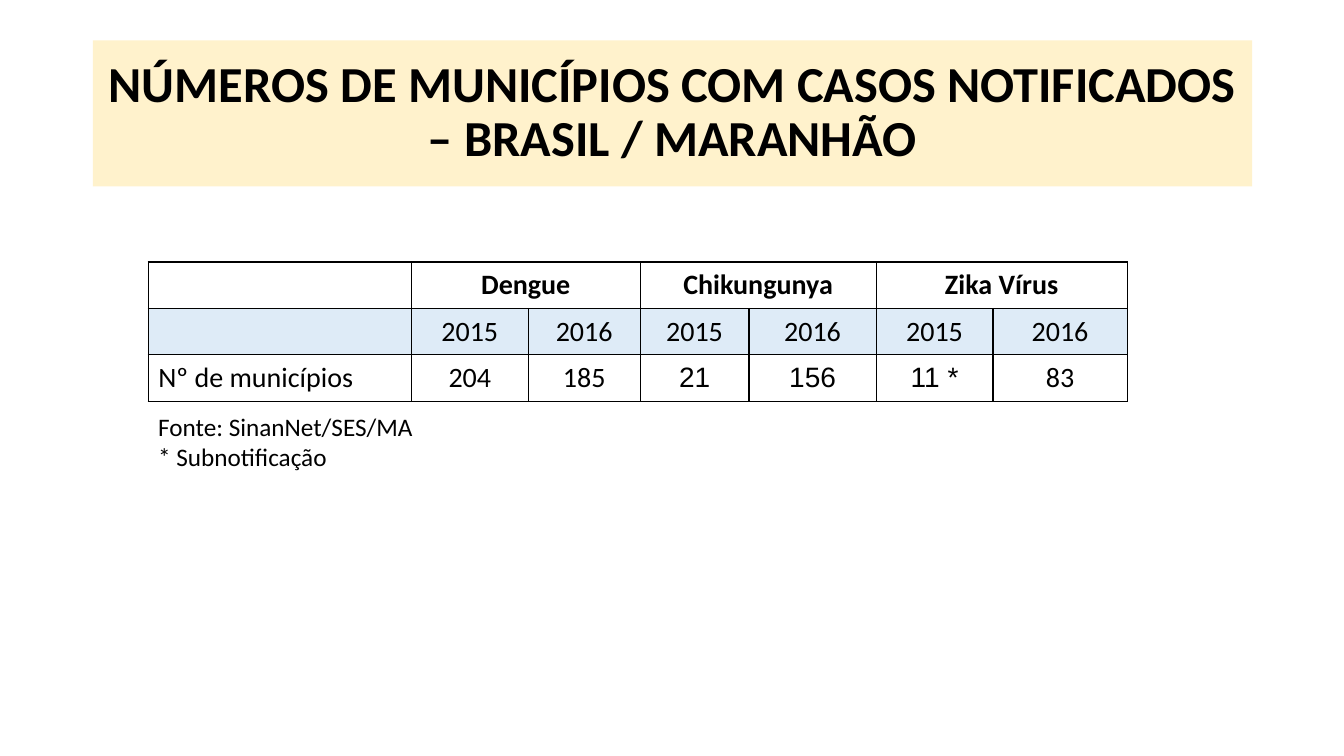
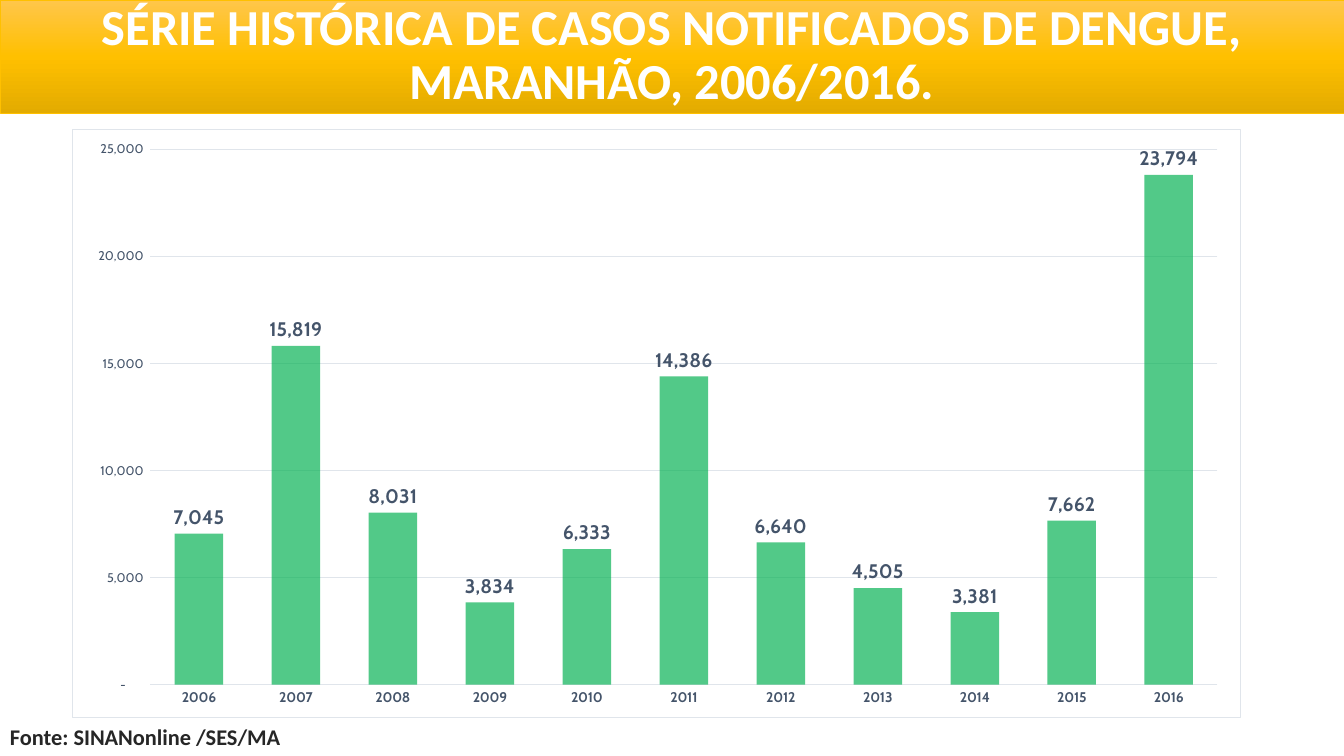
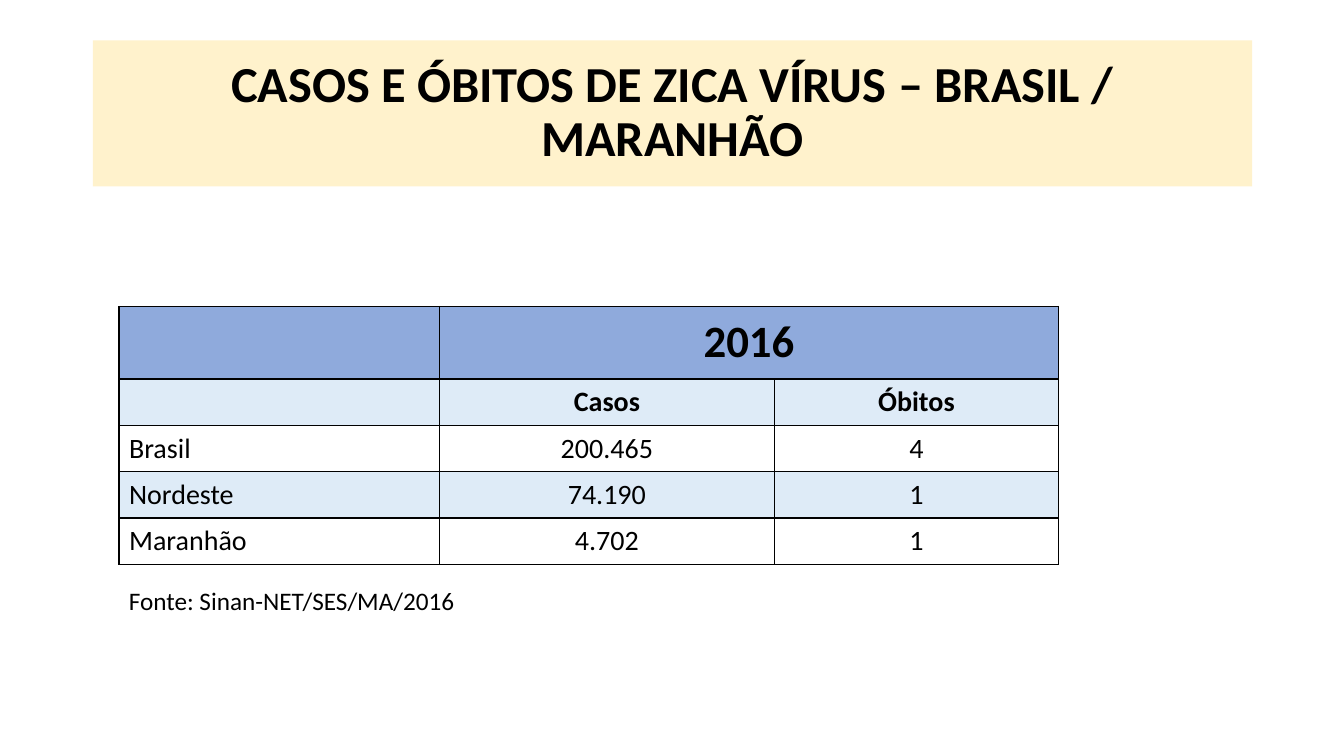
import copy

import pptx
import pptx.chart.data
import pptx.dml.color
import pptx.enum.chart
import pptx.enum.text
import pptx.oxml
import pptx.oxml.ns
import pptx.util

EMU_PER_PX = 9144  # 100 px to the inch
FONT = "Calibri"
CHART_FONT = "Cabin"
COLORS = {
    "black": "000000",
    "white": "FFFFFF",
    "cream": "FFF2CC",
    "amber": "FFC000",
    "amber light": "FFC64B",
    "amber dark": "E3AB00",
    "pale blue": "DEEBF7",
    "blue": "8FAADC",
    "charcoal": "262626",
    "slate": "44546A",
    "grid": "E0E5EB",
    "green": "00B050",
}
TITLE_AREA = (92, 40, 1150, 145)
AXIS_FORMAT = r'_-* #,##0_-;\-* #,##0_-;_-* "-"??_-;_-@_'


def px(length):
    return pptx.util.Emu(length * EMU_PER_PX)


def rgb(name):
    return pptx.dml.color.RGBColor.from_string(COLORS[name])


def drawing_xml(tag, attributes, content):
    """Parse one DrawingML element; tag carries its prefix (a or c)."""
    namespaces = pptx.oxml.ns.nsdecls("a", "c")
    return pptx.oxml.parse_xml(f"<{tag} {namespaces} {attributes}>{content}</{tag}>")


def solid_xml(name):
    return f'<a:solidFill><a:srgbClr val="{COLORS[name]}"/></a:solidFill>'


def set_font(font, size, color="black", bold=False, name=FONT):
    font.name = name
    font.size = pptx.util.Pt(size)
    font.bold = bold
    font.color.rgb = rgb(color)


def set_line(line, color, width):
    line.color.rgb = rgb(color)
    line.width = pptx.util.Pt(width)


def fill_gradient(fill, names):
    """Fill from top to bottom with evenly spaced colours."""
    fill.gradient()
    fill.gradient_angle = 270
    first_stop = fill.gradient_stops[0]._gs
    stop_list = first_stop.getparent()
    while len(stop_list) < len(names):
        stop_list.append(copy.deepcopy(first_stop))
    for index, (stop, name) in enumerate(zip(fill.gradient_stops, names)):
        stop.position = index / (len(names) - 1)
        stop.color.rgb = rgb(name)


class Slides:
    """Holds the deck, its shared style and the slide being built."""

    def __init__(self):
        self.deck = pptx.Presentation()
        self.deck.slide_width = px(1333)
        self.deck.slide_height = px(750)
        self.page = None

    def add_page(self, title, area=TITLE_AREA, color="black", gradient=None):
        self.page = self.deck.slides.add_slide(self.deck.slide_layouts[5])
        box = self.page.shapes.title
        box.left, box.top, box.width, box.height = map(px, area)
        if gradient:
            fill_gradient(box.fill, gradient)
            set_line(box.line, "amber", 0.5)
        else:
            box.fill.solid()
            box.fill.fore_color.rgb = rgb("cream")
        frame = box.text_frame
        frame.text = title
        frame.word_wrap = True
        frame.auto_size = pptx.enum.text.MSO_AUTO_SIZE.NONE
        frame.vertical_anchor = pptx.enum.text.MSO_ANCHOR.MIDDLE
        para = frame.paragraphs[0]
        para.alignment = pptx.enum.text.PP_ALIGN.CENTER
        para.line_spacing = 0.9
        set_font(para.runs[0].font, 36, color, bold=True)

    def add_note(self, text, area, size=18, color="black", bold=False):
        box = self.page.shapes.add_textbox(*map(px, area))
        frame = box.text_frame
        frame.word_wrap = True
        frame.text = text
        for para in frame.paragraphs:
            set_font(para.runs[0].font, size, color, bold)

    def add_table(self, left, top, columns, heights, rows, fills, bold_rows, merges):
        """Each merge is the first of two header cells to join in the top row."""
        frame = self.page.shapes.add_table(
            len(rows), len(columns), px(left), px(top), px(sum(columns)), px(sum(heights)))
        table = frame.table
        table.first_row = table.horz_banding = False
        for column, width in zip(table.columns, columns):
            column.width = px(width)
        for row, height in zip(table.rows, heights):
            row.height = px(height)
        for row_index, texts in enumerate(rows):
            for column_index, text in enumerate(texts):
                cell = table.cell(row_index, column_index)
                self.format_cell(cell, text, fills[row_index], row_index in bold_rows,
                                 centered=column_index > 0)
        for column_index in merges:
            table.cell(0, column_index).merge(table.cell(0, column_index + 1))
        return table

    def format_cell(self, cell, text, fill, bold, centered):
        cell.vertical_anchor = pptx.enum.text.MSO_ANCHOR.MIDDLE
        properties = cell._tc.get_or_add_tcPr()
        for side in "LRTB":
            properties.append(drawing_xml(f"a:ln{side}", 'w="12700"', solid_xml("black")))
        if fill:
            cell.fill.solid()
            cell.fill.fore_color.rgb = rgb(fill)
        else:
            cell.fill.background()
        cell.text_frame.text = text
        para = cell.text_frame.paragraphs[0]
        if centered:
            para.alignment = pptx.enum.text.PP_ALIGN.CENTER
        for span in para.runs:
            set_font(span.font, 20, bold=bold)

    def add_column_chart(self, area, categories, values):
        data = pptx.chart.data.CategoryChartData(number_format="#,##0")
        data.categories = categories
        data.add_series("Series 1", values)
        chart = self.page.shapes.add_chart(
            pptx.enum.chart.XL_CHART_TYPE.COLUMN_CLUSTERED, *map(px, area), data).chart
        chart.has_title = chart.has_legend = False
        set_font(chart.font, 10, name=CHART_FONT)
        border = f'<a:ln w="9525">{solid_xml("grid")}</a:ln>'
        chart.element.find(pptx.oxml.ns.qn("c:chart")).addnext(
            drawing_xml("c:spPr", "", solid_xml("white") + border))

        plot = chart.plots[0]
        plot.gap_width = 100
        plot.overlap = -24
        plot.vary_by_categories = False
        bars = plot.series[0].format.fill
        bars.solid()
        bars.fore_color.rgb = rgb("green")
        bars._xPr.find(".//" + pptx.oxml.ns.qn("a:srgbClr")).append(
            drawing_xml("a:alpha", 'val="68000"', ""))
        plot.has_data_labels = True
        labels = plot.data_labels
        labels.show_value = True
        labels.number_format = "#,##0"
        labels.number_format_is_linked = False
        labels.position = pptx.enum.chart.XL_LABEL_POSITION.OUTSIDE_END
        set_font(labels.font, 14, "slate", True, CHART_FONT)

        for axis, size, bold in ((chart.category_axis, 10, True), (chart.value_axis, 9, False)):
            axis.major_tick_mark = axis.minor_tick_mark = pptx.enum.chart.XL_TICK_MARK.NONE
            set_font(axis.tick_labels.font, size, "slate", bold, CHART_FONT)
        set_line(chart.category_axis.format.line, "grid", 0.75)
        value_axis = chart.value_axis
        value_axis.format.line.fill.background()
        value_axis.has_major_gridlines = True
        set_line(value_axis.major_gridlines.format.line, "grid", 0.75)
        value_axis.minimum_scale, value_axis.maximum_scale = 0, 25000
        value_axis.major_unit = 5000
        value_axis.tick_labels.number_format = AXIS_FORMAT
        value_axis.tick_labels.number_format_is_linked = False


def main():
    slides = Slides()

    slides.add_page("NÚMEROS DE MUNICÍPIOS COM CASOS NOTIFICADOS – BRASIL / MARANHÃO")
    towns = slides.add_table(
        147, 260, (261, 116, 111, 108, 126, 116, 133), [46] * 3,
        [["", "Dengue", "", "Chikungunya", "", "Zika Vírus", ""],
         [""] + ["2015", "2016"] * 3,
         ["Nº de municípios", "204", "185", "21", "156", "11 *", "83"]],
        fills=(None, "pale blue", None), bold_rows=(0,), merges=(1, 3, 5))
    for column_index in (3, 4, 5):
        span = towns.cell(2, column_index).text_frame.paragraphs[0].runs[0]
        span.font.name = "Arial"
    slides.add_note("Fonte: SinanNet/SES/MA\n* Subnotificação", (147, 403, 275, 71))

    slides.add_page(
        "SÉRIE HISTÓRICA DE CASOS NOTIFICADOS DE DENGUE, MARANHÃO, 2006/2016.",
        (0, 0, 1333, 112), "white", ("amber light", "amber", "amber dark"))
    slides.add_note("Fonte: SINANonline /SES/MA", (0, 712, 1333, 38), 16, "charcoal", True)
    slides.add_column_chart(
        (71, 128, 1160, 584), [str(year) for year in range(2006, 2017)],
        (7045, 15819, 8031, 3834, 6333, 14386, 6640, 4505, 3381, 7662, 23794))

    slides.add_page("CASOS E ÓBITOS DE ZICA VÍRUS – BRASIL / MARANHÃO")
    cases = slides.add_table(
        118, 304, (318, 332, 282), [72] + [46] * 4,
        [["", "2016", ""],
         ["", "Casos", "Óbitos"],
         ["Brasil", "200.465", "4"],
         ["Nordeste", "74.190", "1"],
         ["Maranhão", "4.702", "1"]],
        fills=("blue", "pale blue", None, "pale blue", None), bold_rows=(0, 1), merges=(1,))
    cases.cell(0, 1).text_frame.paragraphs[0].runs[0].font.size = pptx.util.Pt(32)
    slides.add_note("Fonte: Sinan-NET/SES/MA/2016", (118, 576, 346, 40))

    slides.deck.save("out.pptx")


if __name__ == "__main__":
    main()
